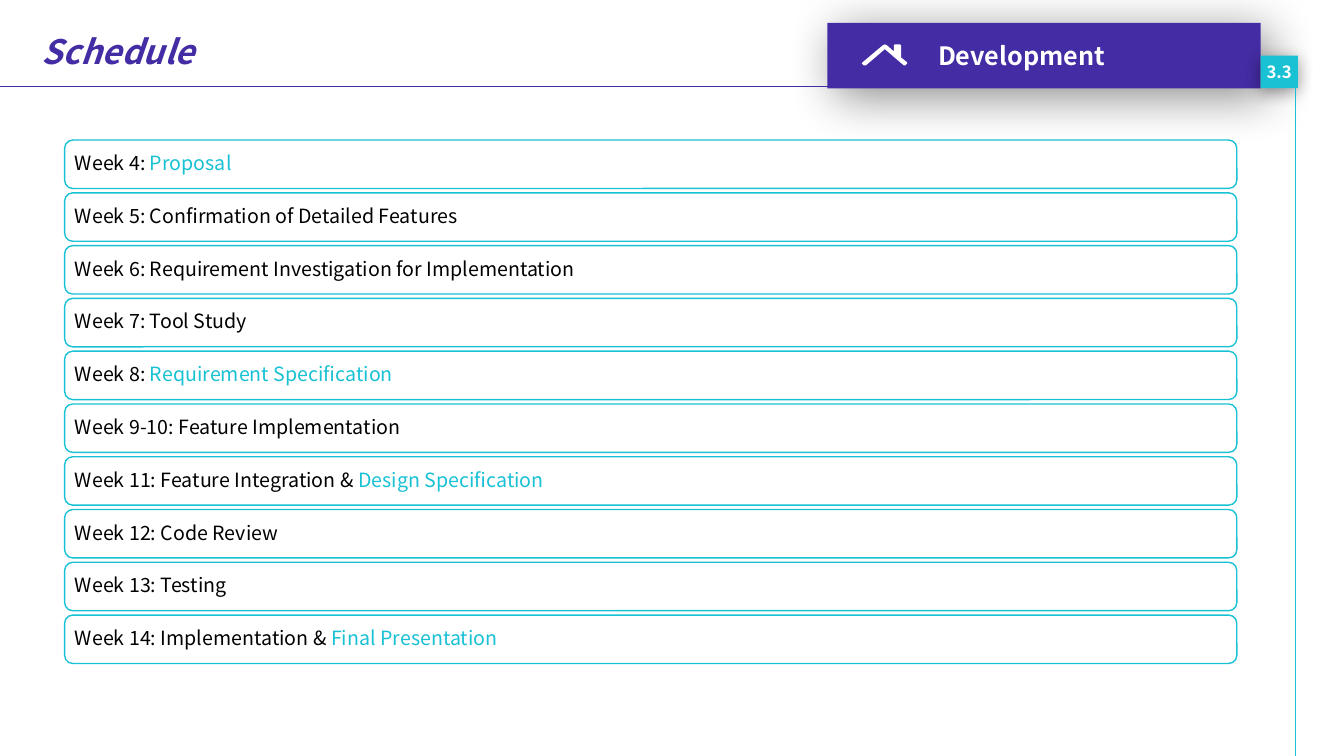
from dataclasses import dataclass
from typing import Optional

import pptx
import pptx.dml.color
import pptx.enum.shapes
import pptx.enum.text
import pptx.oxml
import pptx.oxml.ns
import pptx.util
from pptx.util import Cm

FONT = "Noto Sans CJK KR"
COLORS = {
    "purple": "442CA4",
    "cyan": "18C1D4",
    "black": "000000",
    "white": "FFFFFF",
}


@dataclass(frozen=True)
class Week:
    label: str
    milestone: str = ""


@dataclass(frozen=True)
class Shadow:
    opacity: int
    blur: float
    distance: float
    angle: int


@dataclass(frozen=True)
class Box:
    left: float
    top: float
    width: float
    height: float
    fill: Optional[str] = None
    line: Optional[str] = None
    rounded: bool = False
    shadow: Optional[Shadow] = None


@dataclass(frozen=True)
class Rule:
    start: tuple[float, float]
    end: tuple[float, float]
    color: str


WEEKS = [
    Week("Week 4: ", "Proposal"),
    Week("Week 5: Confirmation of Detailed Features"),
    Week("Week 6: Requirement Investigation for Implementation"),
    Week("Week 7: Tool Study"),
    Week("Week 8: ", "Requirement Specification"),
    Week("Week 9-10: Feature Implementation"),
    Week("Week 11: Feature Integration & ", "Design Specification"),
    Week("Week 12: Code Review"),
    Week("Week 13: Testing"),
    Week("Week 14: Implementation & ", "Final Presentation"),
]
WEEK_TOP, WEEK_PITCH = 3.53, 1.33

BANNER = Box(20.85, 0.58, 10.92, 1.65, "purple", shadow=Shadow(45, 35, 8, 45))
NUMBER_TAG = Box(31.77, 1.4, 0.94, 0.82, "cyan", shadow=Shadow(40, 12, 3, 90))
RULES = [
    Rule((32.64, 2.08), (32.64, 19.05), "cyan"),
    Rule((0, 2.18), (21.79, 2.18), "purple"),
]
# Roof outline in hundredths of a centimetre
ROOF = [
    (2286, 157), (2271, 145), (2271, 114), (2268, 112), (2255, 112),
    (2253, 114), (2253, 130), (2235, 114), (2230, 112), (2225, 114),
    (2174, 157), (2172, 160), (2177, 165), (2182, 165), (2230, 124),
    (2278, 165), (2281, 165), (2286, 160),
]


def rgb(color: str) -> pptx.dml.color.RGBColor:
    return pptx.dml.color.RGBColor.from_string(COLORS[color])


def add_run(paragraph, text: str, size: float, color: str,
            bold: bool = False, italic: bool = False) -> None:
    run = paragraph.add_run()
    run.text = text
    font = run.font
    font.name = FONT
    font.size = pptx.util.Pt(size)
    font.bold = bold
    font.italic = italic
    font.color.rgb = rgb(color)


def add_shadow(shape, shadow: Shadow) -> None:
    shape._element.spPr.append(pptx.oxml.parse_xml(
        f'<a:effectLst {pptx.oxml.ns.nsdecls("a")}>'
        f'<a:outerShdw blurRad="{pptx.util.Pt(shadow.blur)}" '
        f'dist="{pptx.util.Pt(shadow.distance)}" dir="{shadow.angle * 60000}" '
        f'algn="ctr" rotWithShape="0"><a:srgbClr val="{COLORS["black"]}">'
        f'<a:alpha val="{shadow.opacity * 1000}"/></a:srgbClr>'
        '</a:outerShdw></a:effectLst>'))


def add_box(slide, box: Box):
    kinds = pptx.enum.shapes.MSO_SHAPE
    kind = kinds.ROUNDED_RECTANGLE if box.rounded else kinds.RECTANGLE
    shape = slide.shapes.add_shape(
        kind, Cm(box.left), Cm(box.top), Cm(box.width), Cm(box.height))
    if box.fill:
        shape.fill.solid()
        shape.fill.fore_color.rgb = rgb(box.fill)
    else:
        shape.fill.background()
    if box.line:
        shape.line.color.rgb = rgb(box.line)
        shape.line.width = pptx.util.Pt(1)
    else:
        shape.line.fill.background()
    if box.shadow:
        add_shadow(shape, box.shadow)
    else:
        shape.shadow.inherit = False
    shape.text_frame.vertical_anchor = pptx.enum.text.MSO_ANCHOR.MIDDLE
    shape.text_frame.paragraphs[0].alignment = pptx.enum.text.PP_ALIGN.LEFT
    return shape


def add_title(slide) -> None:
    title = slide.shapes.title
    title.left, title.top = Cm(0.79), Cm(0.66)
    title.width, title.height = Cm(19.48), Cm(1.27)
    frame = title.text_frame
    frame.auto_size = pptx.enum.text.MSO_AUTO_SIZE.NONE
    frame.vertical_anchor = pptx.enum.text.MSO_ANCHOR.MIDDLE
    paragraph = frame.paragraphs[0]
    paragraph.alignment = pptx.enum.text.PP_ALIGN.LEFT
    add_run(paragraph, "Schedule", 24, "purple", bold=True, italic=True)


def add_week(slide, index: int, week: Week) -> None:
    top = WEEK_TOP + index * WEEK_PITCH
    shape = add_box(slide, Box(1.63, top, 29.54, 1.22, line="cyan", rounded=True))
    frame = shape.text_frame
    frame.margin_left = frame.margin_right = Cm(0.2)
    frame.margin_top = frame.margin_bottom = Cm(0.2)
    paragraph = frame.paragraphs[0]
    paragraph.line_spacing = 0.9
    add_run(paragraph, week.label, 14, "black")
    if week.milestone:
        add_run(paragraph, week.milestone, 14, "cyan")


def add_banner(slide) -> None:
    paragraph = add_box(slide, BANNER).text_frame.paragraphs[0]
    properties = paragraph._p.get_or_add_pPr()
    properties.set("marL", str(Cm(2.54)))
    properties.set("indent", "0")
    add_run(paragraph, "Development", 18, "white", bold=True)

    frame = add_box(slide, NUMBER_TAG).text_frame
    frame.word_wrap = False
    frame.paragraphs[0].alignment = pptx.enum.text.PP_ALIGN.CENTER
    add_run(frame.paragraphs[0], "3.3", 12, "white", bold=True)

    builder = slide.shapes.build_freeform(*ROOF[0], scale=Cm(1) / 100)
    builder.add_line_segments(ROOF[1:], close=True)
    roof = builder.convert_to_shape()
    roof.fill.solid()
    roof.fill.fore_color.rgb = rgb("white")
    roof.line.fill.background()
    roof.shadow.inherit = False


def add_rule(slide, rule: Rule) -> None:
    connector = slide.shapes.add_connector(
        pptx.enum.shapes.MSO_CONNECTOR.STRAIGHT,
        *(Cm(value) for value in rule.start + rule.end))
    connector.line.color.rgb = rgb(rule.color)
    connector.line.width = pptx.util.Pt(0.5)
    connector._element.spPr.append(pptx.oxml.parse_xml(
        f'<a:effectLst {pptx.oxml.ns.nsdecls("a")}/>'))


def main() -> None:
    presentation = pptx.Presentation()
    presentation.slide_width, presentation.slide_height = Cm(33.87), Cm(19.05)
    slide = presentation.slides.add_slide(presentation.slide_layouts[5])
    add_title(slide)
    for index, week in enumerate(WEEKS):
        add_week(slide, index, week)
    add_banner(slide)
    for rule in RULES:
        add_rule(slide, rule)
    presentation.save("out.pptx")


if __name__ == "__main__":
    main()
